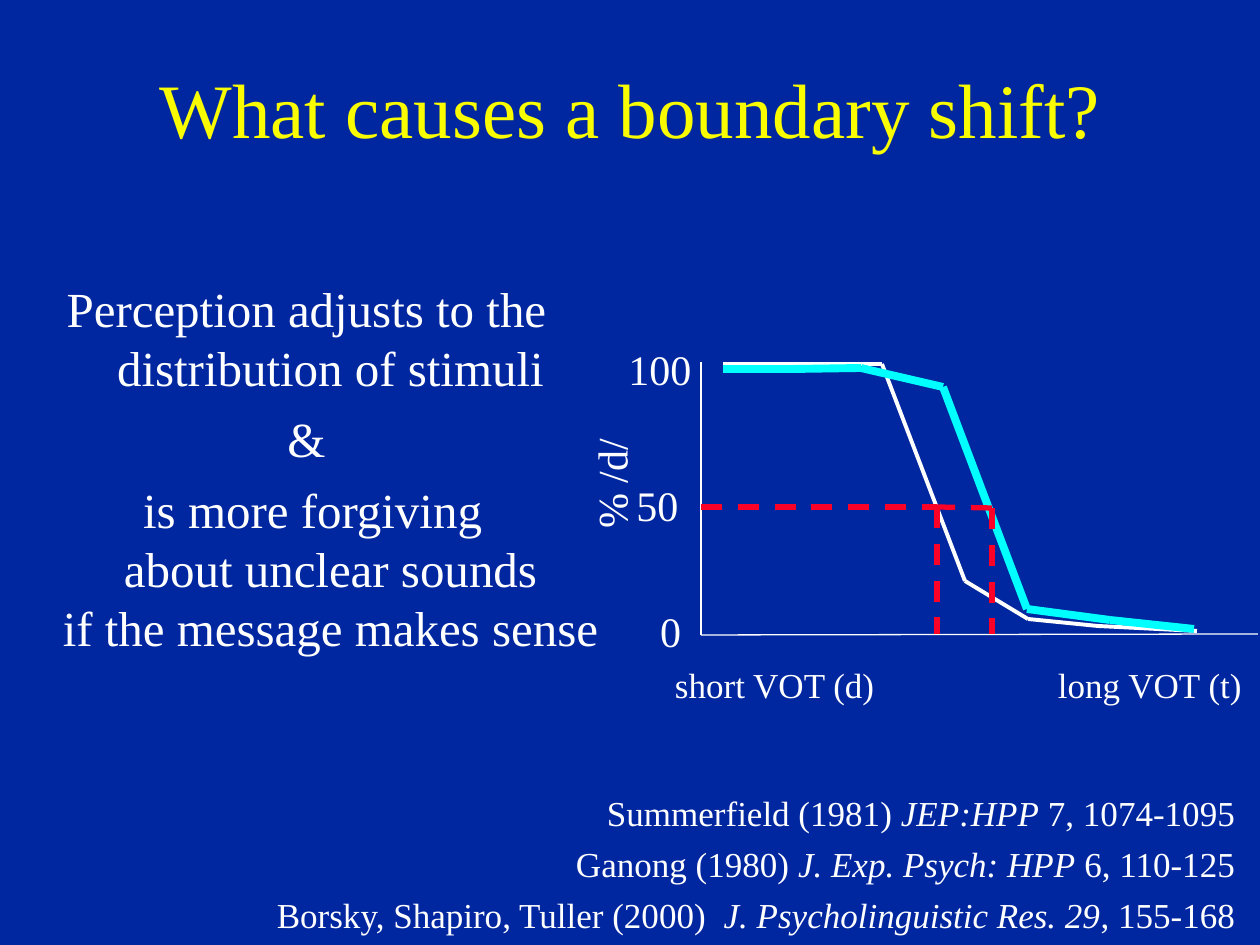
from itertools import pairwise

from pptx import Presentation
from pptx.dml.color import RGBColor
from pptx.enum.dml import MSO_LINE_DASH_STYLE as Dash
from pptx.enum.shapes import MSO_CONNECTOR as Connector
from pptx.enum.text import MSO_ANCHOR as Anchor, PP_ALIGN as Align
from pptx.oxml.ns import qn
from pptx.util import Pt
from lxml.etree import SubElement

PX = 914400 // 126
FONT = "Times New Roman"
COLORS = {"background": "00279F", "title": "FAFD00", "text": "FFFFFF",
          "shifted": "00FFFF", "boundary": "FC0128"}

TITLE = "What causes a boundary shift?"
CLAIMS = [
    "Perception adjusts to the distribution of stimuli",
    "&",
    " is more forgiving\nabout unclear sounds\nif the message makes sense",
]
REFERENCES = [
    [("Summerfield (1981) ", False), ("JEP:HPP", True), (" 7, 1074-1095", False)],
    [("Ganong (1980) ", False), ("J. Exp. Psych: HPP", True), (" 6, 110-125", False)],
    [("Borsky, Shapiro, Tuller (2000)  ", False),
     ("J. Psycholinguistic Res. 29", True), (", 155-168", False)],
]
VOT_LABELS = "short VOT (d)\tlong VOT (t)"
PERCENT_LABEL = "% /d/"
TICKS = [("100", (616, 338, 88, 63)), ("50", (621, 474, 73, 63)), ("0", (648, 600, 45, 63))]

AXES = [(701, 362), (701, 635), (1258, 634)]
ORIGINAL_CURVE = [(723, 364), (798, 364), (882, 364), (965, 581),
                  (1028, 619), (1098, 626), (1197, 631)]
SHIFTED_CURVE = [(723, 369), (794, 369), (861, 368), (943, 387),
                 (1027, 609), (1110, 620), (1194, 629)]
HALF_LEVEL_START = (701, 507)
BOUNDARIES = [(937, 507), (992, 508)]
BASELINE = 634


def color(name):
    return RGBColor.from_string(COLORS[name])


def write(shape, paragraphs, size, fill="text", align=Align.LEFT, before=0,
          inset=(13, 6), hanging=0, tab=0):
    frame = shape.text_frame
    frame.word_wrap = True
    frame.margin_left = frame.margin_right = inset[0] * PX
    frame.margin_top = frame.margin_bottom = inset[1] * PX
    for index, content in enumerate(paragraphs):
        paragraph = frame.add_paragraph() if index else frame.paragraphs[0]
        paragraph.alignment = align
        paragraph.space_before = Pt(before if index else 0)
        properties = paragraph._p.get_or_add_pPr()
        if hanging:
            properties.set("marL", str(hanging * PX))
            properties.set("indent", str(-hanging * PX))
        if tab:
            stops = SubElement(properties, qn("a:tabLst"))
            SubElement(stops, qn("a:tab"), pos=str(tab * PX), algn="l")
        runs = [(content, False)] if isinstance(content, str) else content
        for text, italic in runs:
            for number, line in enumerate(text.split("\n")):
                if number:
                    paragraph.add_line_break()
                run = paragraph.add_run()
                run.text = line
                run.font.name = FONT
                run.font.size = Pt(size)
                run.font.italic = italic
                run.font.color.rgb = color(fill)


def add_text(slide, box, paragraphs, size, **options):
    shape = slide.shapes.add_textbox(*(value * PX for value in box))
    write(shape, paragraphs, size, **options)
    return shape


def add_path(slide, points, stroke, width, dash=None):
    for start, end in pairwise(points):
        line = slide.shapes.add_connector(
            Connector.STRAIGHT, *(value * PX for value in start + end))
        line.line.color.rgb = color(stroke)
        line.line.width = Pt(width)
        if dash:
            line.line.dash_style = dash
        SubElement(line._element.spPr, qn("a:effectLst"))


def main():
    presentation = Presentation()
    presentation.slide_width = 1260 * PX
    presentation.slide_height = 945 * PX
    slide = presentation.slides.add_slide(presentation.slide_layouts[5])
    slide.background.fill.solid()
    slide.background.fill.fore_color.rgb = color("background")

    title = slide.shapes.title
    title.left, title.top, title.width, title.height = (
        value * PX for value in (95, 29, 1071, 158))
    write(title, [TITLE], 44, fill="title", align=Align.CENTER, inset=(5, 5))
    title.text_frame.vertical_anchor = Anchor.MIDDLE

    add_text(slide, (-3, 273, 619, 532), CLAIMS, 28,
             align=Align.CENTER, before=7, hanging=48)
    add_text(slide, (662, 657, 621, 55), [VOT_LABELS], 20, tab=383)
    percent = add_text(slide, (551, 450, 120, 63), [PERCENT_LABEL], 24)
    percent.rotation = 270
    for tick, box in TICKS:
        add_text(slide, box, [tick], 24, align=Align.CENTER, inset=(0, 6))

    add_path(slide, AXES, "text", 0.75)
    add_path(slide, ORIGINAL_CURVE, "text", 2.25)
    add_path(slide, SHIFTED_CURVE, "shifted", 4.5)
    first, second = BOUNDARIES
    add_path(slide, [HALF_LEVEL_START, first], "boundary", 3, Dash.DASH)
    add_path(slide, [second, first], "boundary", 3, Dash.DASH)
    for x, y in BOUNDARIES:
        add_path(slide, [(x, y), (x, BASELINE)], "boundary", 3, Dash.DASH)

    add_text(slide, (154, 786, 1094, 156), REFERENCES, 20, align=Align.RIGHT, before=5)
    presentation.save("out.pptx")


if __name__ == "__main__":
    main()
